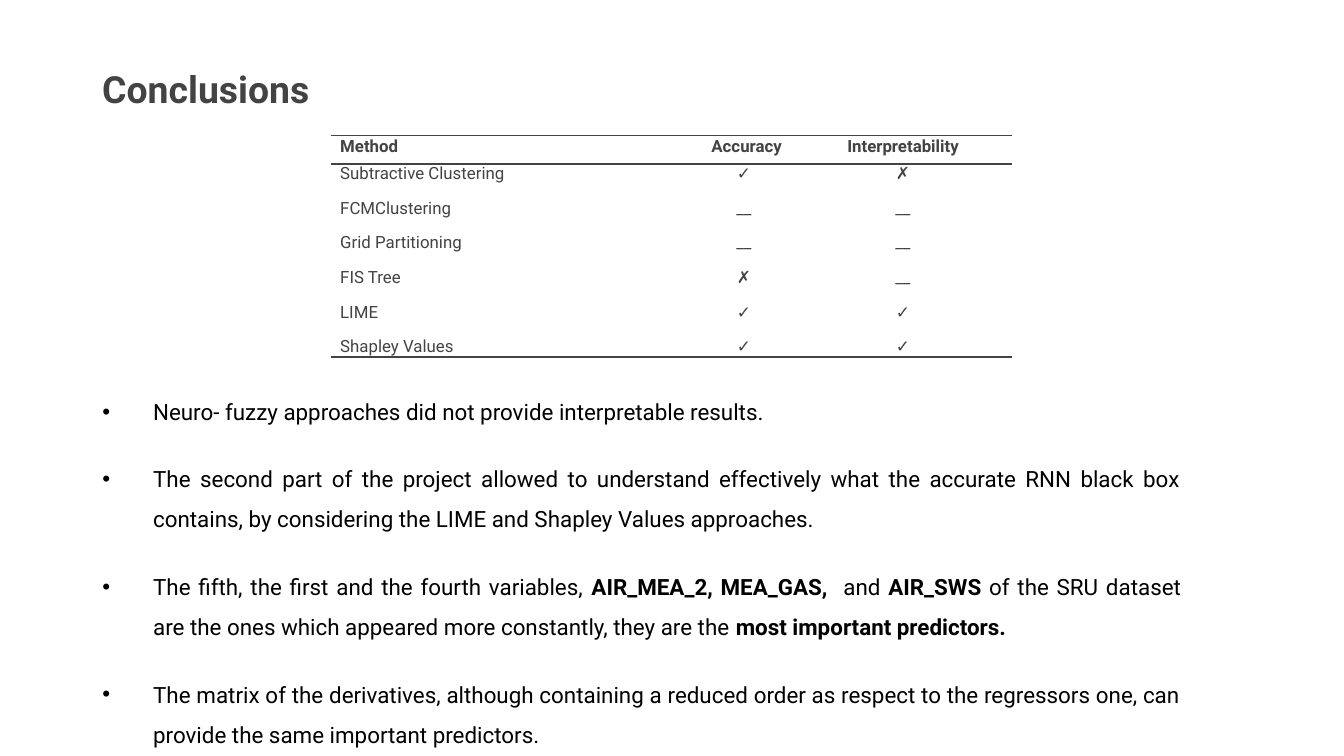
import pptx
import pptx.util
import pptx.dml.color
import pptx.enum.text
import pptx.oxml
import pptx.oxml.ns
from pptx.util import Cm

Pt = pptx.util.Pt
RGBColor = pptx.dml.color.RGBColor
ALIGN = pptx.enum.text.PP_ALIGN
ANCHOR = pptx.enum.text.MSO_ANCHOR
NS = pptx.oxml.ns.nsdecls("a")

GRAY = RGBColor(0x43, 0x43, 0x43)
BLACK = RGBColor(0, 0, 0)
FACE = "Roboto"

HEADS = ["Method", "Accuracy", "Interpretability"]
METHODS = [
    ("Subtractive Clustering", "✓", "✗"),
    ("FCMClustering", "__", "__"),
    ("Grid Partitioning", "__", "__"),
    ("FIS Tree", "✗", "__"),
    ("LIME", "✓", "✓"),
    ("Shapley Values", "✓", "✓"),
]
# Each point is a list of (text, bold) parts
POINTS = [
    [("Neuro- fuzzy approaches did not provide interpretable results.", False)],
    [("The second part of the project allowed to understand effectively what "
      "the accurate RNN black box contains, by considering the LIME and "
      "Shapley Values approaches.", False)],
    [("The fifth, the first and the fourth variables, ", False),
     ("AIR_MEA_2, MEA_GAS,  ", True),
     ("and ", False),
     ("AIR_SWS ", True),
     ("of the SRU dataset are the ones which appeared more constantly, "
      "they are the ", False),
     ("most important predictors.", True)],
    [("The matrix of the derivatives, although containing a reduced order as "
      "respect to the regressors one, can provide the same important "
      "predictors.", False)],
]


def style(font, size, color, bold=None):
    font.name, font.size, font.bold = FACE, Pt(size), bold
    font.color.rgb = color


def place(shape, box):
    shape.left, shape.top, shape.width, shape.height = box


def add_title(slide, box):
    title = slide.shapes.title
    place(title, box)
    frame = title.text_frame
    frame.text = "Conclusions"
    frame.auto_size = pptx.enum.text.MSO_AUTO_SIZE.NONE
    frame.vertical_anchor = ANCHOR.BOTTOM
    frame.margin_left = frame.margin_bottom = Cm(0.25)
    para = frame.paragraphs[0]
    para.alignment = ALIGN.LEFT
    style(para.font, 20, GRAY, True)


def rule_cell(cell):
    """Lines above and below, none at the sides."""
    props = cell._tc.get_or_add_tcPr()
    for spot, side in enumerate("LRTB"):
        fill = "<a:noFill/>"
        if side in "TB":
            fill = f'<a:solidFill><a:srgbClr val="{GRAY}"/></a:solidFill>'
        props.insert(spot, pptx.oxml.parse_xml(
            f'<a:ln{side} {NS} w="{Pt(1)}">{fill}</a:ln{side}>'))


def fill_cell(cell, lines, align, bold):
    cell.margin_left = cell.margin_right = Cm(0.18)
    cell.margin_top = cell.margin_bottom = 0
    cell.text = "\n".join(lines)
    for para in cell.text_frame.paragraphs:
        para.alignment = align
        para.space_after = Pt(8)
        para.line_spacing = 1.07 if bold else 1.0
        style(para.font, 9, GRAY, bold)


def add_methods(slide, box):
    table = slide.shapes.add_table(2, 4, *box).table
    table.first_row = table.horz_banding = False
    for col, width in zip(table.columns, (6.2, 0.66, 1.9, 4.11)):
        col.width = Cm(width)
    for row, height in zip(table.rows, (0.54, 3.02)):
        row.height = Cm(height)
    for cell in table.iter_cells():
        cell.fill.background()
        rule_cell(cell)

    # The narrow column joins Accuracy above and Method below
    table.cell(0, 1).merge(table.cell(0, 2))
    table.cell(1, 0).merge(table.cell(1, 1))
    aligns = (ALIGN.LEFT, ALIGN.CENTER, ALIGN.CENTER)
    for col, head, align in zip((0, 1, 3), HEADS, aligns):
        fill_cell(table.cell(0, col), [head], align, True)
    for col, lines, align in zip((0, 2, 3), zip(*METHODS), aligns):
        fill_cell(table.cell(1, col), lines, align, False)
    table.cell(0, 1).margin_left = Cm(0.94)


def add_bullet(para):
    props = para._p.get_or_add_pPr()
    props.set("marL", str(Cm(0.96)))
    props.set("indent", str(-Cm(0.96)))
    for tag in ('<a:buClr {}><a:srgbClr val="000000"/></a:buClr>',
                '<a:buFont {} typeface="Arial"/>',
                '<a:buChar {} char="•"/>'):
        props.append(pptx.oxml.parse_xml(tag.format(NS)))


def add_points(slide, box):
    body = slide.placeholders[1]
    place(body, box)
    frame = body.text_frame
    frame.auto_size = pptx.enum.text.MSO_AUTO_SIZE.NONE
    for num, parts in enumerate(POINTS):
        para = frame.add_paragraph() if num else frame.paragraphs[0]
        add_bullet(para)
        para.alignment = ALIGN.JUSTIFY
        para.line_spacing = 1.5
        para.space_before = Pt(14.5 if num else 0)
        style(para.font, 12, BLACK)
        for text, bold in parts:
            run = para.add_run()
            run.text = text
            run.font.bold = bold


def main():
    deck = pptx.Presentation()
    deck.slide_width, deck.slide_height = Cm(25.4), Cm(14.29)
    slide = deck.slides.add_slide(deck.slide_layouts[1])
    add_title(slide, (Cm(1.68), Cm(0), Cm(24.03), Cm(2.34)))
    add_points(slide, (Cm(1.68), Cm(7.14), Cm(20.9), Cm(7.7)))
    add_methods(slide, (Cm(6.25), Cm(2.56), Cm(12.87), Cm(3.56)))
    deck.save("out.pptx")


if __name__ == "__main__":
    main()
